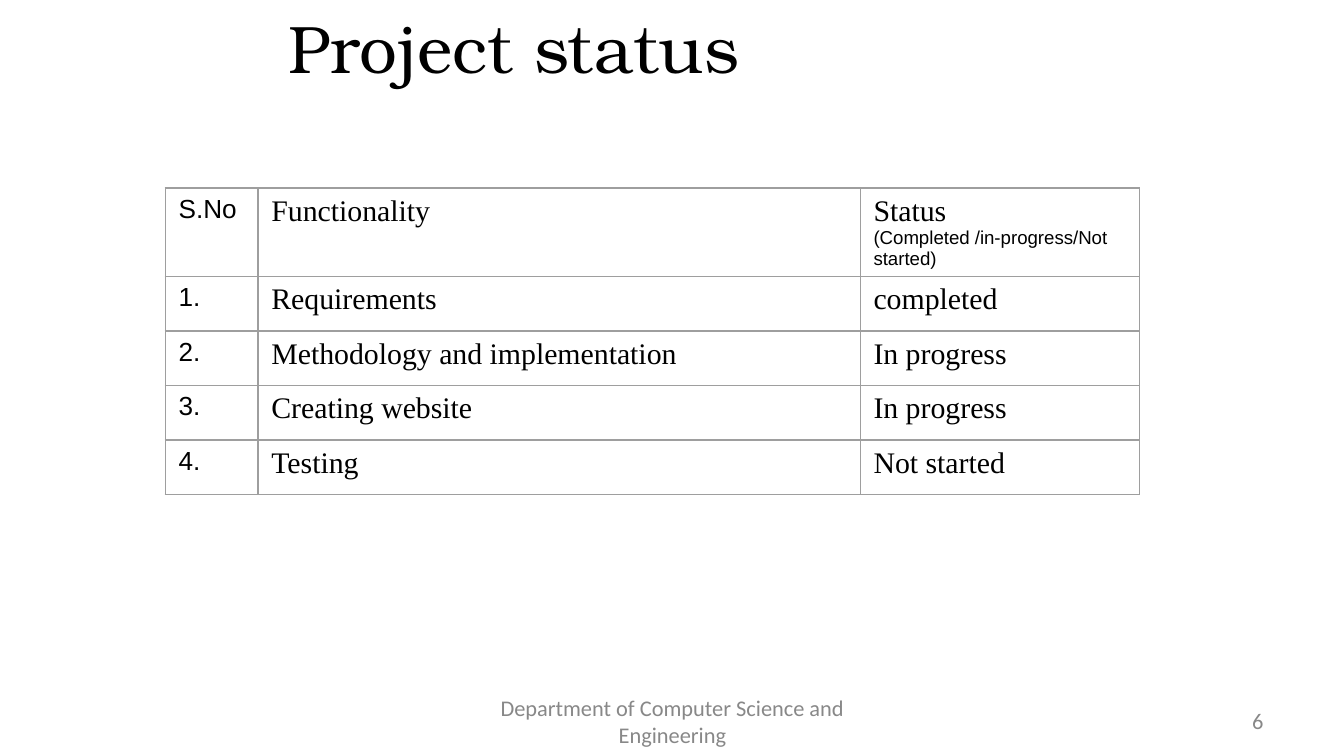
from typing import NamedTuple

from lxml import etree
from pptx import Presentation
from pptx.dml.color import RGBColor
from pptx.enum.text import MSO_ANCHOR, MSO_AUTO_SIZE, PP_ALIGN
from pptx.oxml.ns import qn
from pptx.util import Pt

LEFT, CENTER, RIGHT = PP_ALIGN.LEFT, PP_ALIGN.CENTER, PP_ALIGN.RIGHT
MIDDLE, NO_AUTOFIT = MSO_ANCHOR.MIDDLE, MSO_AUTO_SIZE.NONE

BLACK = RGBColor(0x00, 0x00, 0x00)
GRAY = RGBColor(0x88, 0x88, 0x88)
BORDER = RGBColor(0x9E, 0x9E, 0x9E)

SANS, SERIF = "Arial", "Times New Roman"
FOOTER_FONT, TITLE_FONT = "Calibri", "TeX Gyre Bonum"

COL_WIDTHS = (49.7, 322.6, 149.7)
HEADER_H, ROW_H = 47.4, 29.2


class Task(NamedTuple):
    name: str
    status: str


class Footer(NamedTuple):
    text: str
    left: float
    width: float
    align: PP_ALIGN


TASKS = (
    Task("Requirements", "completed"),
    Task("Methodology and implementation", "In progress"),
    Task("Creating website", "In progress"),
    Task("Testing", "Not started"),
)
FOOTERS = (
    Footer("Department of Computer Science and Engineering", 246.2, 228.2, CENTER),
    Footer("6", 516.2, 167.8, RIGHT),
)


def write(p, text: str, *, size: float, font: str,
          color: RGBColor = BLACK, align: PP_ALIGN = LEFT) -> None:
    p.alignment = align
    r = p.add_run()
    r.text = text
    r.font.size, r.font.name = Pt(size), font
    r.font.bold = False
    r.font.color.rgb = color


def format_cell(cell) -> None:
    """Thin border on all sides, no fill."""
    tc_pr = cell._tc.get_or_add_tcPr()
    for side in ("lnL", "lnR", "lnT", "lnB"):
        ln = etree.SubElement(tc_pr, qn(f"a:{side}"), w=str(Pt(0.75)))
        fill = etree.SubElement(ln, qn("a:solidFill"))
        etree.SubElement(fill, qn("a:srgbClr"), val=str(BORDER))
    cell.fill.background()


def add_status_table(s, tasks: tuple[Task, ...]) -> None:
    rows = [("S.No", "Functionality", "Status")]
    rows += [(f"{i}.", t.name, t.status) for i, t in enumerate(tasks, 1)]
    heights = [HEADER_H] + [ROW_H] * len(tasks)
    table = s.shapes.add_table(
        len(rows), len(COL_WIDTHS), Pt(88.5), Pt(100.7),
        Pt(sum(COL_WIDTHS)), Pt(sum(heights))).table
    table.first_row = table.horz_banding = False
    for col, width in zip(table.columns, COL_WIDTHS):
        col.width = Pt(width)
    for i, (values, height) in enumerate(zip(rows, heights)):
        table.rows[i].height = Pt(height)
        for j, text in enumerate(values):
            cell = table.cell(i, j)
            format_cell(cell)
            size, font = (14, SANS) if j == 0 else (16, SERIF)
            write(cell.text_frame.paragraphs[0], text, size=size, font=font)
    # Legend under the status heading
    p = table.cell(0, 2).text_frame.add_paragraph()
    write(p, "(Completed /in-progress/Not started)", size=10, font=SANS)


def add_footer(s, footer: Footer) -> None:
    box = s.shapes.add_textbox(Pt(footer.left), Pt(375.4), Pt(footer.width), Pt(21.6))
    tf = box.text_frame
    tf.word_wrap = True
    tf.vertical_anchor = MIDDLE
    write(tf.paragraphs[0], footer.text, size=12, font=FOOTER_FONT,
          color=GRAY, align=footer.align)


def main() -> None:
    prs = Presentation()
    prs.slide_width, prs.slide_height = Pt(720), Pt(405)
    s = prs.slides.add_slide(prs.slide_layouts[5])

    # Title
    title = s.shapes.title
    title.left, title.top, title.width, title.height = Pt(34.6), Pt(0), Pt(481.7), Pt(49.7)
    tf = title.text_frame
    tf.auto_size, tf.vertical_anchor = NO_AUTOFIT, MIDDLE
    write(tf.paragraphs[0], "Project status", size=36, font=TITLE_FONT, align=CENTER)

    # Status table
    add_status_table(s, TASKS)

    # Department and page number
    for footer in FOOTERS:
        add_footer(s, footer)

    prs.save("out.pptx")


if __name__ == "__main__":
    main()
